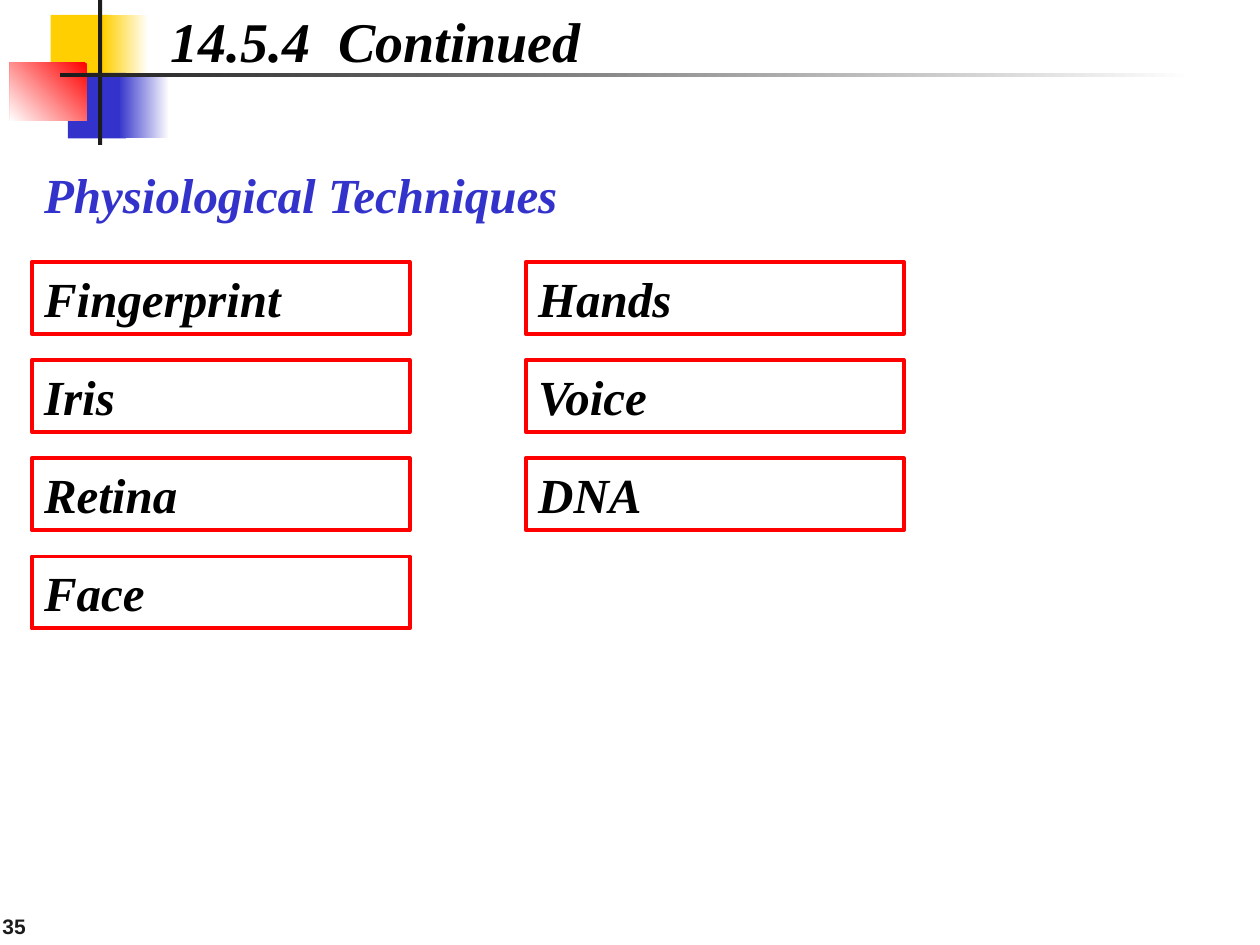
import pptx
import pptx.util
import pptx.dml.color
import pptx.enum.shapes
import pptx.enum.text

Cm = pptx.util.Cm
RGBColor = pptx.dml.color.RGBColor
MSO_ANCHOR = pptx.enum.text.MSO_ANCHOR
PP_ALIGN = pptx.enum.text.PP_ALIGN

WHITE = RGBColor(0xFF, 0xFF, 0xFF)
BLACK = RGBColor(0x00, 0x00, 0x00)
DARK = RGBColor(0x1C, 0x1C, 0x1C)
YELLOW = RGBColor(0xFF, 0xCF, 0x01)
BLUE = RGBColor(0x33, 0x33, 0xCC)
RED = RGBColor(0xFF, 0x00, 0x00)

prs = pptx.Presentation()
prs.slide_width = Cm(25.4)
prs.slide_height = Cm(19.05)
s = prs.slides.add_slide(prs.slide_layouts[5])


def add_rect(x, y, w, h, color, fade_to=None, angle=0):
    sp = s.shapes.add_shape(
        pptx.enum.shapes.MSO_SHAPE.RECTANGLE, Cm(x), Cm(y), Cm(w), Cm(h))
    sp.shadow.inherit = False
    sp.line.fill.background()
    if fade_to is None:
        sp.fill.solid()
        sp.fill.fore_color.rgb = color
    else:
        sp.fill.gradient()
        sp.fill.gradient_angle = angle
        for stop, stop_color in zip(sp.fill.gradient_stops, (color, fade_to)):
            stop.color.rgb = stop_color
    return sp


def set_text(sp, text, size, color, align=PP_ALIGN.JUSTIFY):
    tf = sp.text_frame
    tf.word_wrap = True
    tf.auto_size = pptx.enum.text.MSO_AUTO_SIZE.NONE
    tf.vertical_anchor = MSO_ANCHOR.TOP
    tf.margin_left = tf.margin_right = Cm(0.25)
    tf.margin_top = tf.margin_bottom = Cm(0.13)
    p = tf.paragraphs[0]
    p.alignment = align
    r = p.add_run()
    r.text = text
    r.font.name = "Times New Roman"
    r.font.size = pptx.util.Pt(size)
    r.font.bold = True
    r.font.italic = True
    r.font.color.rgb = color
    return r


add_rect(1.02, 0.3, 1.22, 1.32, YELLOW)
add_rect(2.08, 0.3, 0.91, 1.32, WHITE, YELLOW, 180)
add_rect(1.37, 1.47, 1.17, 1.32, BLUE)
add_rect(2.39, 1.47, 1.02, 1.32, WHITE, BLUE, 180)
add_rect(0.2, 1.27, 1.55, 1.17, RED, WHITE, 225)
add_rect(1.98, 0, 0.08, 2.92, DARK)
add_rect(1.22, 1.47, 22.86, 0.08, WHITE, DARK, 180)

title = s.shapes.title
title.left, title.top = Cm(3.18), Cm(0)
title.width, title.height = Cm(10), Cm(1.63)
set_text(title, "14.5.4  Continued", 32, BLACK, PP_ALIGN.LEFT)

heading = add_rect(0.64, 3.18, 24.13, 1.45, WHITE)
set_text(heading, "Physiological Techniques", 28, BLUE)

columns = [["Fingerprint", "Iris", "Retina", "Face"], ["Hands", "Voice", "DNA"]]
for col, techniques in enumerate(columns):
    for row, technique in enumerate(techniques):
        box = add_rect(0.64 + 9.96 * col, 5.28 + 1.98 * row, 7.62, 1.45, WHITE)
        box.line.color.rgb = RED
        box.line.width = pptx.util.Pt(2.25)
        set_text(box, technique, 28, BLACK)

number = s.shapes.add_textbox(Cm(-0.2), Cm(17.78), Cm(5.28), Cm(1.27))
r = set_text(number, "35", 12, DARK, PP_ALIGN.LEFT)
r.font.name = "Arial"
r.font.italic = False
number.text_frame.vertical_anchor = MSO_ANCHOR.BOTTOM

prs.save("out.pptx")
